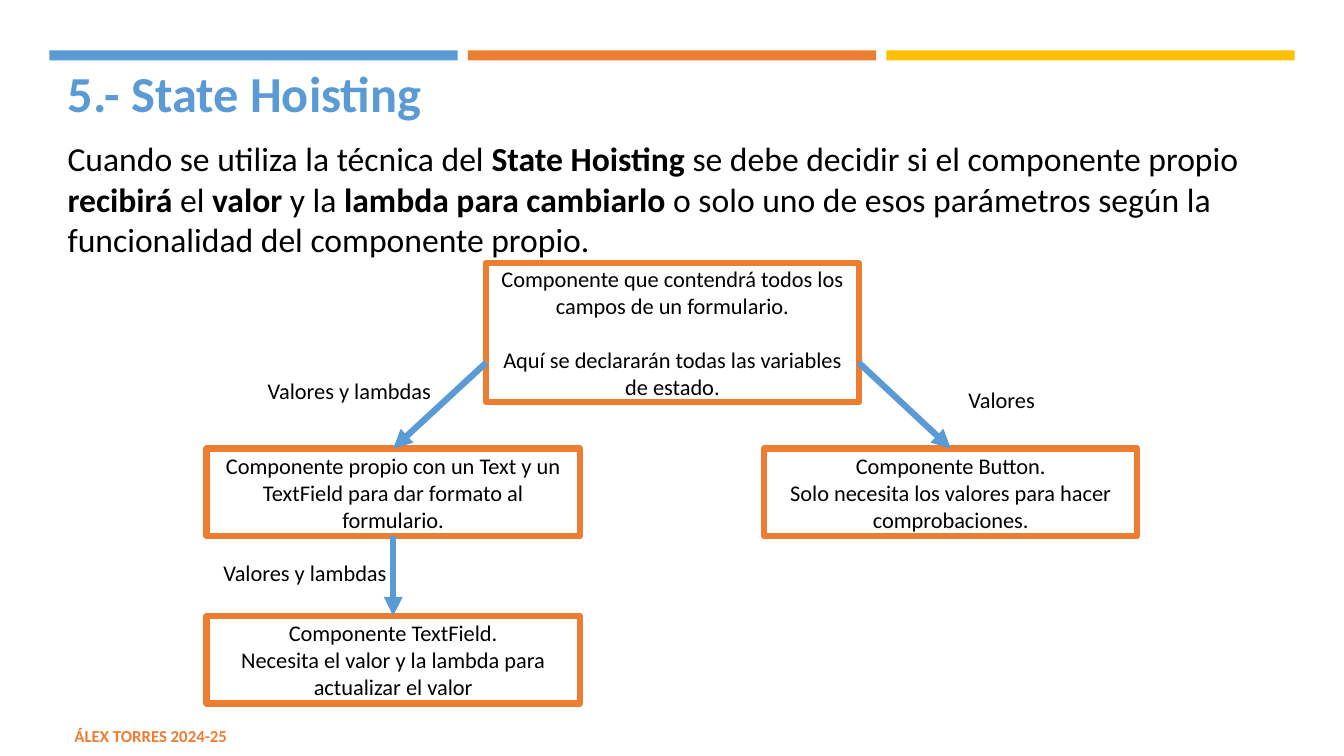
"""Build the State Hoisting slide with its component tree."""
import pptx
import pptx.util
import pptx.dml.color
import pptx.enum.shapes
import pptx.enum.text
import pptx.oxml.ns
import lxml.etree

Inches = pptx.util.Inches
Pt = pptx.util.Pt
ANCHOR = pptx.enum.text.MSO_ANCHOR
ALIGN = pptx.enum.text.PP_ALIGN
RECT = pptx.enum.shapes.MSO_SHAPE.RECTANGLE
LINE = pptx.enum.shapes.MSO_CONNECTOR.STRAIGHT

THEME = {
    "font": "Calibri", "blue": "5B9BD5", "orange": "ED7D31",
    "gold": "FFC000", "black": "000000",
    "title": 36, "body": 24, "label": 16, "foot": 12, "line": 4.5,
}

TITLE = "5.- State Hoisting"
BODY = [
    ("Cuando se utiliza la técnica del ", False),
    ("State Hoisting", True),
    (" se debe decidir si el componente propio ", False),
    ("recibirá", True),
    (" el ", False),
    ("valor", True),
    (" y la ", False),
    ("lambda para cambiarlo", True),
    (" o solo uno de esos parámetros según la funcionalidad del componente propio.", False),
]
FOOT = "ÁLEX TORRES 2024-25"
BARS = ["blue", "orange", "gold"]
NODES = {
    "form": (4.82, 2.61, 1.38, 19.5,
             "Componente que contendrá todos los campos de un formulario.\n"
             "Aquí se declararán todas las variables de estado."),
    "own": (2.05, 4.45, 0.87, 0,
            "Componente propio con un Text y un TextField para dar formato al formulario."),
    "field": (2.05, 6.11, 0.87, 0,
              "Componente TextField.\nNecesita el valor y la lambda para actualizar el valor"),
    "button": (7.58, 4.45, 0.87, 0,
               "Componente Button.\nSolo necesita los valores para hacer comprobaciones."),
}
WIDE = 3.7
FORKS = [(4.82, "own"), (8.52, "button")]
FORK_TOP = 3.6
LABELS = [
    (2.49, 3.66, "Valores y lambdas"),
    (2.05, 5.47, "Valores y lambdas"),
    (8.96, 3.75, "Valores"),
]


def color(name):
    return pptx.dml.color.RGBColor.from_string(THEME[name])


def style(run, size, tint="black", bold=False):
    font = run.font
    font.name, font.size, font.bold = THEME["font"], Pt(THEME[size]), bold
    font.color.rgb = color(tint)


def write(shape, text, size, tint="black", bold=False, align=ALIGN.CENTER,
          anchor=ANCHOR.MIDDLE, gap=0):
    frame = shape.text_frame
    frame.word_wrap = True
    frame.auto_size = pptx.enum.text.MSO_AUTO_SIZE.NONE
    frame.vertical_anchor = anchor
    frame.text = text
    for rank, para in enumerate(frame.paragraphs):
        para.alignment = align
        para.space_before = Pt(gap if rank else 0)
        for run in para.runs:
            style(run, size, tint, bold)


def place(shape, left, top, width, height):
    shape.left, shape.top = Inches(left), Inches(top)
    shape.width, shape.height = Inches(width), Inches(height)
    frame = shape.text_frame
    frame.margin_left = frame.margin_right = Inches(0.1)
    frame.margin_top = frame.margin_bottom = Inches(0.1)


def add_rect(slide, left, top, width, height):
    shape = slide.shapes.add_shape(
        RECT, Inches(left), Inches(top), Inches(width), Inches(height))
    shape.shadow.inherit = False
    return shape


def add_text(slide, left, top, width, height):
    return slide.shapes.add_textbox(
        Inches(left), Inches(top), Inches(width), Inches(height))


def add_arrow(slide, left, top, goal):
    arrow = slide.shapes.add_connector(
        LINE, Inches(left), Inches(top), goal.left + goal.width // 2, goal.top)
    arrow.end_connect(goal, 0)
    arrow.line.color.rgb = color("blue")
    arrow.line.width = Pt(THEME["line"])
    tag = pptx.oxml.ns.qn
    props = arrow.element.spPr
    lxml.etree.SubElement(props.find(tag("a:ln")), tag("a:tailEnd"), type="triangle")
    lxml.etree.SubElement(props, tag("a:effectLst"))
    return arrow


def add_head(slide):
    for rank, tint in enumerate(BARS):
        bar = add_rect(slide, 0.49 + rank * 4.15, 0.5, 4.05, 0.1)
        bar.fill.solid()
        bar.fill.fore_color.rgb = color(tint)
        bar.line.fill.background()
    title, body = slide.shapes.title, slide.placeholders[1]
    place(title, 0.57, 0.52, 12.2, 0.73)
    write(title, TITLE, "title", "blue", True, ALIGN.LEFT, ANCHOR.TOP)
    place(body, 0.57, 1.27, 12.2, 5.89)
    write(body, "", "body", align=ALIGN.LEFT, anchor=ANCHOR.TOP)
    para = body.text_frame.paragraphs[0]
    props = para._p.get_or_add_pPr()
    props.set("marL", "0")
    props.set("indent", "0")
    lxml.etree.SubElement(props, pptx.oxml.ns.qn("a:buNone"))
    for text, bold in BODY:
        run = para.add_run()
        run.text = text
        style(run, "body", bold=bold)


def add_tree(slide):
    boxes = {}
    for name, (left, top, height, gap, text) in NODES.items():
        box = boxes[name] = add_rect(slide, left, top, WIDE, height)
        box.fill.background()
        box.line.color.rgb = color("orange")
        box.line.width = Pt(THEME["line"])
        write(box, text, "label", gap=gap)
    for left, goal in FORKS:
        add_arrow(slide, left, FORK_TOP, boxes[goal])
    drop = add_arrow(slide, 3.9, 5.32, boxes["field"])
    drop.begin_connect(boxes["own"], 2)
    for left, top, text in LABELS:
        write(add_text(slide, left, top, 1.95, 0.42), text, "label")


def main():
    deck = pptx.Presentation()
    deck.slide_width, deck.slide_height = Inches(13.33), Inches(7.5)
    slide = deck.slides.add_slide(deck.slide_layouts[1])
    add_head(slide)
    write(add_text(slide, 0.64, 7.1, 7.56, 0.4), FOOT, "foot", "orange", True, ALIGN.LEFT)
    add_tree(slide)
    deck.save("out.pptx")


if __name__ == "__main__":
    main()
